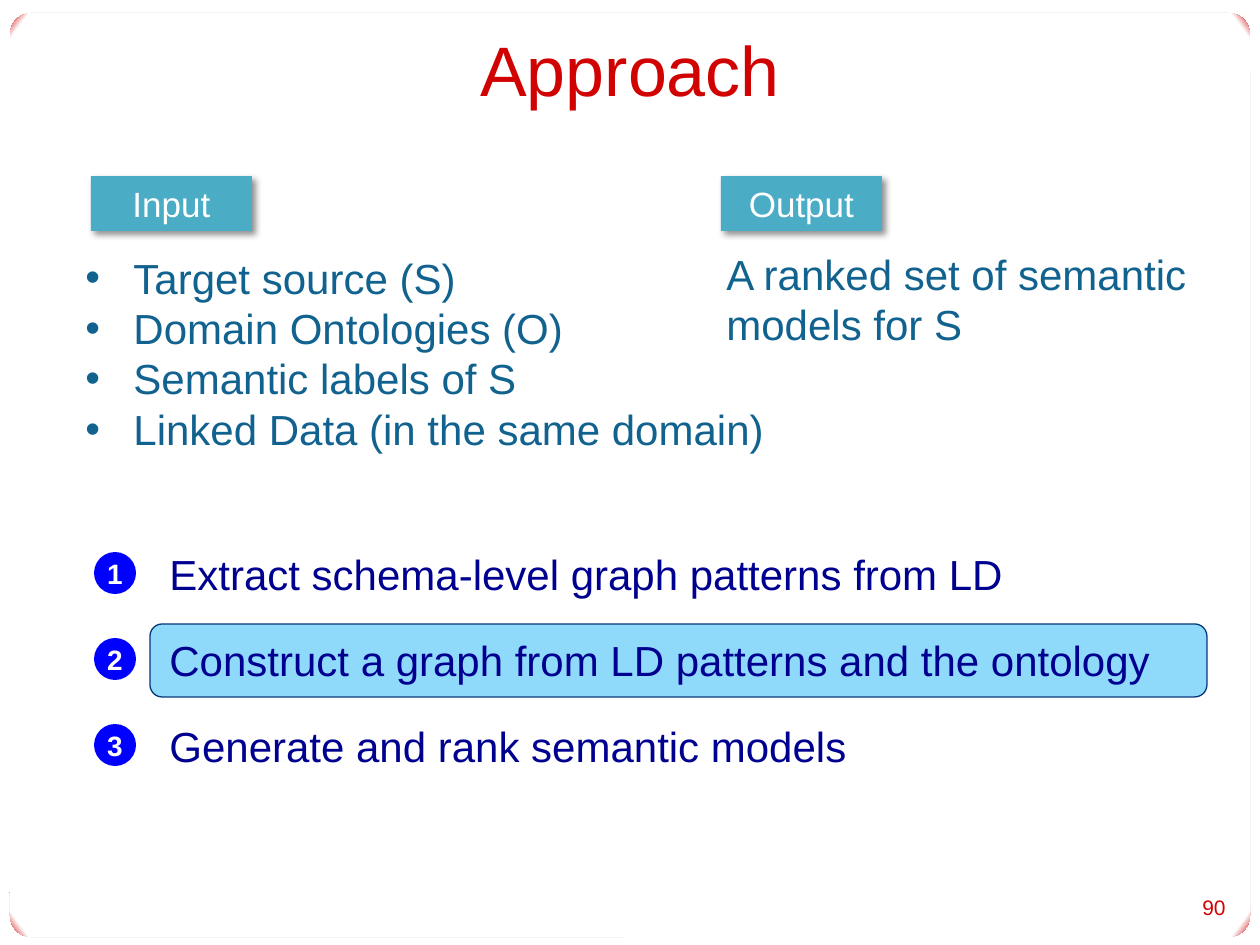
from lxml import etree
from pptx import Presentation
from pptx.dml.color import RGBColor
from pptx.enum.shapes import MSO_SHAPE as Shape
from pptx.enum.text import MSO_ANCHOR as Anchor, PP_ALIGN as Align
from pptx.oxml import parse_xml
from pptx.oxml.ns import nsdecls, qn
from pptx.util import Pt

EMU_PER_PX = 914400 / 126
FONT = "Arial"
RED, NAVY, TEAL, WHITE = "D10202", "000090", "11628F", "FFFFFF"
INPUTS = [
    "Target source (S)",
    "Domain Ontologies (O)",
    "Semantic labels of S",
    "Linked Data (in the same domain)",
]
STEPS = [
    "Extract schema-level graph patterns from LD",
    "Construct a graph from LD patterns and the ontology",
    "Generate and rank semantic models",
]


def px(*lengths):
    return [round(length * EMU_PER_PX) for length in lengths]


def color(hex_code):
    return RGBColor.from_string(hex_code)


def write(frame, lines, size, hex_code, align=Align.LEFT, anchor=Anchor.TOP, bold=False):
    frame.word_wrap = True
    frame.vertical_anchor = anchor
    frame.text = "\n".join(lines)
    for paragraph in frame.paragraphs:
        paragraph.alignment = align
        for run in paragraph.runs:
            run.font.name = FONT
            run.font.size = Pt(size)
            run.font.bold = bold
            run.font.color.rgb = color(hex_code)


def add_text(slide, box, lines, size, hex_code, **layout):
    frame = slide.shapes.add_textbox(*px(*box)).text_frame
    write(frame, lines, size, hex_code, **layout)
    return frame


def add_bullets(frame, hex_code, indent):
    for paragraph in frame.paragraphs:
        properties = paragraph._p.get_or_add_pPr()
        properties.set("marL", str(indent))
        properties.set("indent", str(-indent))
        bullet_color = etree.SubElement(properties, qn("a:buClr"))
        etree.SubElement(bullet_color, qn("a:srgbClr"), val=hex_code)
        etree.SubElement(properties, qn("a:buFont"), typeface=FONT)
        etree.SubElement(properties, qn("a:buChar"), char="•")


def add_block(slide, kind, box, fill, line=None):
    block = slide.shapes.add_shape(kind, *px(*box))
    block.shadow.inherit = False
    block.fill.solid()
    block.fill.fore_color.rgb = color(fill)
    if line:
        block.line.color.rgb = color(line)
        block.line.width = Pt(0.75)
    else:
        block.line.fill.background()
    return block


def add_backdrop(slide):
    """Rounded panel behind everything, white with red corners."""
    panel = add_block(slide, Shape.ROUNDED_RECTANGLE, (10, 13, 1240, 924), WHITE)
    panel.adjustments[0] = 0.023
    stops = "".join(
        f'<a:gs pos="{position}"><a:srgbClr val="{hex_code}"/></a:gs>'
        for position, hex_code in ((0, WHITE), (98000, WHITE), (100000, RED))
    )
    gradient = parse_xml(
        f'<a:gradFill {nsdecls("a")} rotWithShape="1"><a:gsLst>{stops}</a:gsLst>'
        '<a:path path="circle"><a:fillToRect l="50000" t="50000" r="50000" b="50000"/>'
        "</a:path></a:gradFill>"
    )
    properties = panel._element.spPr
    properties.replace(properties.find(qn("a:solidFill")), gradient)
    slide.shapes.title._element.addprevious(panel._element)


def add_tag(slide, left, label):
    tag = add_block(slide, Shape.RECTANGLE, (left, 176, 161, 55), "4BACC6")
    tag._element.spPr.find(qn("a:effectLst")).append(parse_xml(
        f'<a:outerShdw {nsdecls("a")} blurRad="{Pt(4)}" dist="{Pt(3)}" dir="2700000"'
        ' algn="tl" rotWithShape="0"><a:srgbClr val="000000"><a:alpha val="43000"/>'
        "</a:srgbClr></a:outerShdw>"
    ))
    write(tag.text_frame, [label], 20, WHITE, align=Align.CENTER)


def add_step(slide, number, top, description):
    badge = add_block(slide, Shape.OVAL, (94, top + 10, 42, 42), "0000FF")
    frame = badge.text_frame
    frame.margin_left = frame.margin_right = frame.margin_top = frame.margin_bottom = 0
    write(frame, [str(number)], 16, WHITE, align=Align.CENTER, anchor=Anchor.MIDDLE, bold=True)
    add_text(slide, (157, top, 1092, 63), [description], 24, NAVY)


def main():
    deck = Presentation()
    deck.slide_width, deck.slide_height = px(1260, 945)
    slide = deck.slides.add_slide(deck.slide_layouts[5])
    add_backdrop(slide)

    title = slide.shapes.title
    title.left, title.top, title.width, title.height = px(42, 21, 1176, 95)
    write(title.text_frame, ["Approach"], 40, RED, align=Align.CENTER, anchor=Anchor.MIDDLE)

    add_tag(slide, 91, "Input")
    inputs = add_text(slide, (73, 246, 1029, 217), INPUTS, 24, TEAL)
    add_bullets(inputs, TEAL, px(48)[0])
    add_tag(slide, 721, "Output")
    add_text(slide, (714, 242, 536, 115), ["A ranked set of semantic models for S"], 24, TEAL)

    highlight = (150, 624, 1057, 73)
    add_block(slide, Shape.ROUNDED_RECTANGLE, highlight, "8FD9FB", line="073779")
    for index, description in enumerate(STEPS):
        add_step(slide, index + 1, 542 + 86 * index, description)

    add_text(slide, (1165, 887, 73, 40), ["90"], 12, RED, align=Align.RIGHT, anchor=Anchor.MIDDLE)
    deck.save("out.pptx")


if __name__ == "__main__":
    main()
